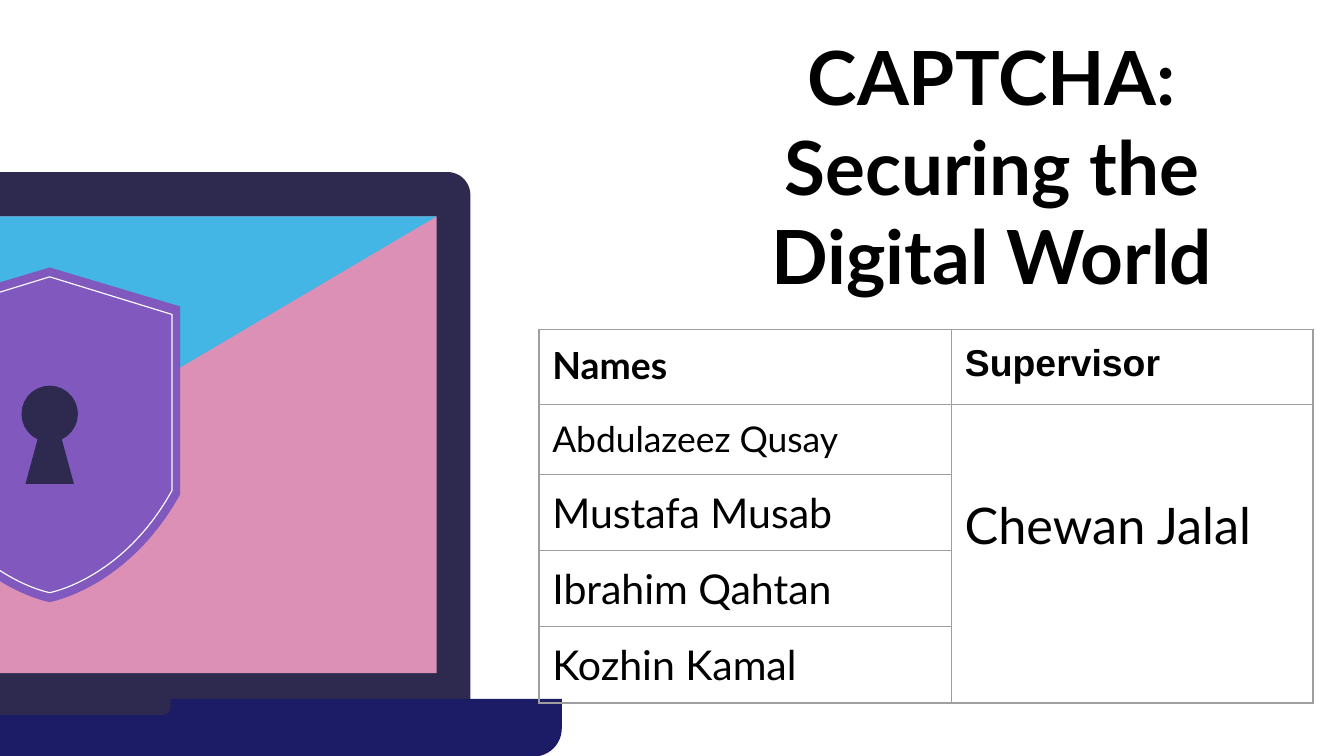
from math import asin, cos, pi, sin

from lxml.etree import SubElement
from pptx import Presentation
from pptx.dml.color import RGBColor
from pptx.enum.shapes import MSO_SHAPE
from pptx.enum.text import MSO_ANCHOR, MSO_AUTO_SIZE, PP_ALIGN
from pptx.oxml.ns import qn
from pptx.util import Emu, Pt

EMU_PER_PX = 9144  # 100 px to the inch

BLACK = RGBColor(0x00, 0x00, 0x00)
OFF_WHITE = RGBColor(0xFC, 0xFC, 0xFC)
GREY = RGBColor(0x9E, 0x9E, 0x9E)
DARK = RGBColor(0x2E, 0x29, 0x4E)
NAVY = RGBColor(0x1C, 0x1C, 0x66)
PINK = RGBColor(0xDD, 0x90, 0xB6)
BLUE = RGBColor(0x43, 0xB6, 0xE5)
PURPLE = RGBColor(0x80, 0x58, 0xBE)

CENTER = 37  # shared axis of shield and keyhole
CURVE_STEPS = 24

# text, size, bold, font
NAME_ROWS = [
    ("Names", 20, True, "Lato"),
    ("Abdulazeez Qusay", 19, False, "Lato"),
    ("Mustafa Musab", 22, False, "Lato"),
    ("Ibrahim Qahtan", 22, False, "Lato"),
    ("Kozhin Kamal", 22, False, "Lato"),
]
SUPERVISOR_HEADER = ("Supervisor", 20, True, "Arial")
COLUMN_WIDTHS = [307, 269]
ROW_HEIGHTS = [56, 52, 56, 56, 56]


def px(length):
    return Emu(round(length * EMU_PER_PX))


def place(shape, left, top, width, height):
    shape.left, shape.top = px(left), px(top)
    shape.width, shape.height = px(width), px(height)


def set_margins(holder):
    holder.margin_left = holder.margin_right = px(10)
    holder.margin_top = holder.margin_bottom = px(10)


def write(frame, text, size, bold, font, align=PP_ALIGN.LEFT):
    para = frame.paragraphs[0]
    para.text = text
    para.alignment = align
    para.font.name = font
    para.font.size = Pt(size)
    para.font.bold = bold
    para.font.color.rgb = BLACK


def paint(shape, fill=None, line=None):
    shape.shadow.inherit = False
    if fill is None:
        shape.fill.background()
    else:
        shape.fill.solid()
        shape.fill.fore_color.rgb = fill
    if line is None:
        shape.line.fill.background()
    else:
        shape.line.color.rgb = line
        shape.line.width = Pt(0.61)


def add_panel(shapes, box, fill, top_radius=0, bottom_radius=0):
    """Rectangle whose top or bottom pair of corners may be rounded."""
    left, top, width, height = box
    rounded = top_radius or bottom_radius
    kind = MSO_SHAPE.ROUND_2_SAME_RECTANGLE if rounded else MSO_SHAPE.RECTANGLE
    panel = shapes.add_shape(kind, px(left), px(top), px(width), px(height))
    if rounded:
        panel.adjustments[0] = top_radius / min(width, height)
        panel.adjustments[1] = bottom_radius / min(width, height)
    paint(panel, fill)


def add_outline(shapes, points, fill=None, line=None):
    start, *rest = [(px(x), px(y)) for x, y in points]
    builder = shapes.build_freeform(*start)
    builder.add_line_segments(rest, close=True)
    paint(builder.convert_to_shape(), fill, line)


def shield_points(half, top, shoulder, hip, bottom):
    """Pointed top, straight sides, and a cubic curve down to the tip."""
    right = [(half, shoulder)]
    for step in range(CURVE_STEPS):
        t = step / CURVE_STEPS
        u = 1 - t
        x = u**3 * half + 3 * u * u * t * 0.6 * half
        y = u**3 * hip + 3 * u * u * t * (bottom - 10) + (3 * u + t) * t * t * bottom
        right.append((x, y))
    left = [(-x, y) for x, y in reversed(right)]
    outline = [(0, top), *right, (0, bottom), *left]
    return [(CENTER + x, y) for x, y in outline]


def keyhole_points(middle=308, radius=21, neck=9, foot=18, bottom=360):
    """Circle left open at the neck, continued by a flared slot."""
    opening = asin(neck / radius)
    points = [(CENTER + foot, bottom), (CENTER - foot, bottom)]
    for step in range(CURVE_STEPS + 1):
        angle = opening + step / CURVE_STEPS * (2 * pi - 2 * opening)
        points.append((CENTER - radius * sin(angle), middle + radius * cos(angle)))
    return points


def add_laptop(page):
    shapes = page.shapes.add_group_shape().shapes
    # Lid, screen, base and notch
    add_panel(shapes, (-277, 128, 627, 392), DARK, top_radius=17)
    add_panel(shapes, (-252, 161, 577, 340), PINK)
    add_panel(shapes, (-344, 520, 762, 43), NAVY, bottom_radius=21)
    add_panel(shapes, (-53, 519, 180, 13), DARK, bottom_radius=6)
    # Light across the screen
    add_outline(shapes, [(-252, 161), (-252, 501), (325, 161)], BLUE)
    # Shield with its inner rim and keyhole
    add_outline(shapes, shield_points(97, 199, 228, 368, 448), PURPLE)
    add_outline(shapes, shield_points(91, 206, 234, 365, 441), line=OFF_WHITE)
    add_outline(shapes, keyhole_points(), DARK)


def style_cell(cell):
    set_margins(cell)
    properties = cell._tc.get_or_add_tcPr()
    for side in ("a:lnL", "a:lnR", "a:lnT", "a:lnB"):
        border = SubElement(properties, qn(side), w=str(Pt(0.75)))
        solid = SubElement(border, qn("a:solidFill"))
        SubElement(solid, qn("a:srgbClr"), val=str(GREY))
    cell.fill.background()


def add_team_table(page):
    frame = page.shapes.add_table(
        len(ROW_HEIGHTS), len(COLUMN_WIDTHS),
        px(401), px(245), px(sum(COLUMN_WIDTHS)), px(sum(ROW_HEIGHTS)))
    table = frame.table
    table.first_row = table.horz_banding = False
    for column, width in zip(table.columns, COLUMN_WIDTHS):
        column.width = px(width)
    for row, height in zip(table.rows, ROW_HEIGHTS):
        row.height = px(height)
    for cell in table.iter_cells():
        style_cell(cell)
    table.cell(1, 1).merge(table.cell(len(ROW_HEIGHTS) - 1, 1))

    for index, entry in enumerate(NAME_ROWS):
        write(table.cell(index, 0).text_frame, *entry)
    write(table.cell(0, 1).text_frame, *SUPERVISOR_HEADER)


def add_title(page):
    title = page.shapes.title
    place(title, 543, 11, 390, 222)
    frame = title.text_frame
    set_margins(frame)
    frame.word_wrap = True
    frame.vertical_anchor = MSO_ANCHOR.BOTTOM
    frame.auto_size = MSO_AUTO_SIZE.NONE
    write(frame, "CAPTCHA: Securing the Digital World", 40, True, "Lato",
          PP_ALIGN.CENTER)


def add_supervisor(page):
    box = page.shapes.add_textbox(px(708), px(358), px(253), px(52))
    set_margins(box.text_frame)
    box.text_frame.word_wrap = True
    write(box.text_frame, "Chewan Jalal", 27, False, "Lato")


def main():
    deck = Presentation()
    deck.slide_width = px(1000)
    deck.slide_height = deck.slide_width * 9 // 16
    page = deck.slides.add_slide(deck.slide_layouts[5])
    add_title(page)
    add_laptop(page)
    add_team_table(page)
    add_supervisor(page)
    deck.save("out.pptx")


if __name__ == "__main__":
    main()
